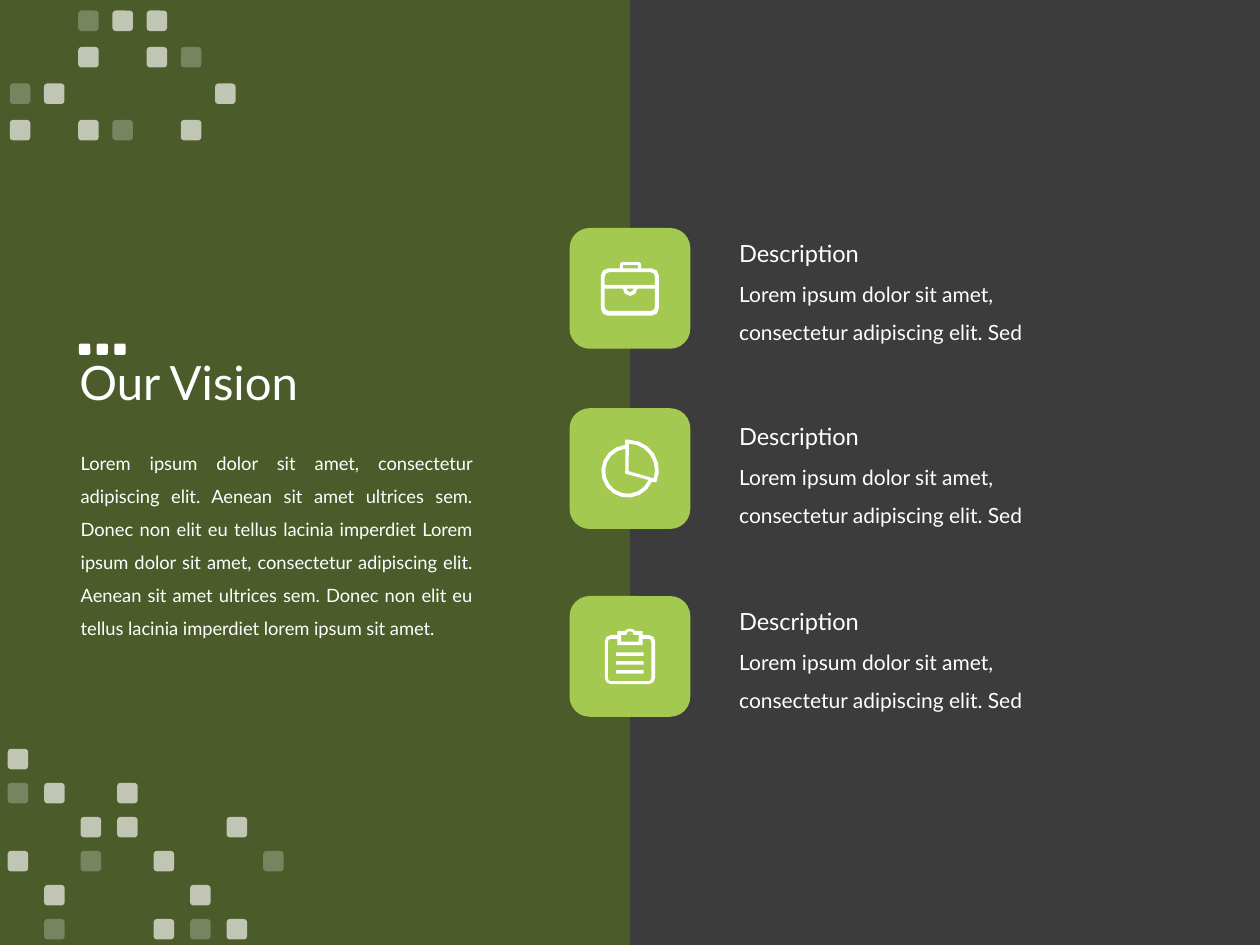
from math import cos, radians, sin

from lxml.etree import SubElement
from pptx import Presentation
from pptx.dml.color import RGBColor
from pptx.enum.shapes import MSO_SHAPE as Shape
from pptx.enum.text import MSO_ANCHOR as Anchor, MSO_AUTO_SIZE as AutoSize, PP_ALIGN as Align
from pptx.oxml.ns import qn
from pptx.util import Pt

COLORS = {"ground": "3C3C3C", "panel": "546C21", "accent": "A3C951", "white": "FFFFFF"}
FONT = "Lato"
TILE = 11.7
TILE_ALPHA = {"#": 65, "+": 25}
TOP_TILES = ["..+##..", "..#.#+.", "+#....#", "#.#+.#."]
BOTTOM_TILES = ["#.......", "+#.#....", "..##..#.", "#.+.#..+", ".#...#..", ".+..#+#."]
VISION = (
    "Lorem ipsum dolor sit amet, consectetur adipiscing elit. Aenean sit amet ultrices sem. "
    "Donec non elit eu tellus lacinia imperdiet Lorem ipsum dolor sit amet, consectetur "
    "adipiscing elit. Aenean sit amet ultrices sem. Donec non elit eu tellus lacinia "
    "imperdiet lorem ipsum sit amet."
)
DETAIL = "Lorem ipsum dolor sit amet, consectetur adipiscing elit. Sed"


def paint(shape, color, alpha=100):
    """Give a shape a flat fill, no outline and no shadow."""
    shape.shadow.inherit = False
    shape.line.fill.background()
    shape.fill.solid()
    shape.fill.fore_color.rgb = RGBColor.from_string(COLORS[color])
    if alpha < 100:
        tint = shape.fill._xPr.find(qn("a:solidFill"))[0]
        SubElement(tint, qn("a:alpha")).set("val", str(alpha * 1000))


def add_block(shapes, kind, left, top, width, height, color, alpha=100):
    """Add a painted preset shape."""
    block = shapes.add_shape(kind, Pt(left), Pt(top), Pt(width), Pt(height))
    paint(block, color, alpha)
    return block


def write(frame, text, size, spacing=1.0, align=Align.LEFT):
    """Write one white run into a text frame."""
    frame.word_wrap = True
    paragraph = frame.paragraphs[0]
    paragraph.alignment = align
    paragraph.line_spacing = spacing
    run = paragraph.add_run()
    run.text = text
    run.font.name = FONT
    run.font.size = Pt(size)
    run.font.color.rgb = RGBColor.from_string(COLORS["white"])


def add_text(slide, left, top, width, height, text, size, spacing=1.0, align=Align.LEFT):
    """Add a text box that grows with its text."""
    box = slide.shapes.add_textbox(Pt(left), Pt(top), Pt(width), Pt(height))
    write(box.text_frame, text, size, spacing, align)
    box.text_frame.auto_size = AutoSize.SHAPE_TO_FIT_TEXT


def add_title(slide, text):
    """Place and format the title placeholder."""
    title = slide.shapes.title
    title.left, title.top, title.width, title.height = Pt(38.1), Pt(159.8), Pt(620.6), Pt(120.2)
    title.text_frame.vertical_anchor = Anchor.MIDDLE
    write(title.text_frame, text, 27, 0.9)


def add_mosaic(slide, left, top, pitch_x, pitch_y, rows):
    """Add a group of translucent tiles laid out by a character grid."""
    tiles = slide.shapes.add_group_shape().shapes
    for row, marks in enumerate(rows):
        for column, mark in enumerate(marks):
            if mark in TILE_ALPHA:
                add_block(tiles, Shape.ROUNDED_RECTANGLE, left + column * pitch_x,
                          top + row * pitch_y, TILE, TILE, "white", TILE_ALPHA[mark])


def add_dots(slide):
    """Add the three small squares above the title."""
    dots = slide.shapes.add_group_shape().shapes
    for index in range(3):
        add_block(dots, Shape.ROUNDED_RECTANGLE, 45.1 + index * 10.1, 196.3, 6.5, 6.5, "white")


def arc(x, y, radius, start, end, steps=4):
    """Return points along an arc, with angles in degrees clockwise from the right."""
    if not radius:
        return [(x, y)]
    angles = [radians(start + (end - start) * step / steps) for step in range(steps + 1)]
    return [(x + radius * cos(angle), y + radius * sin(angle)) for angle in angles]


def rounded(left, top, right, bottom, top_radius=0, bottom_radius=0):
    """Return the outline of a rectangle with rounded top and bottom corners."""
    a, b = top_radius, bottom_radius
    return (arc(left + a, top + a, a, 180, 270, 2) + arc(right - a, top + a, a, 270, 360, 2)
            + arc(right - b, bottom - b, b, 0, 90, 2) + arc(left + b, bottom - b, b, 90, 180, 2))


def briefcase():
    """Return the contours of the briefcase icon."""
    pocket = rounded(2.2, 15.1, 30.9, 27.9, 0, 2.4)
    return [
        rounded(0, 3.6, 33.1, 30.6, 4, 4),
        rounded(10.8, 0, 23, 3.6, 1.4),
        rounded(12.6, 1.6, 21.2, 3.6),
        rounded(2.2, 5.8, 30.9, 13, 2.4),
        pocket[:1] + arc(16.7, 15.1, 4.2, 180, 0) + pocket[1:],
        arc(16.7, 15.1, 2, 180, 0),
    ]


def pie():
    """Return the contours of the pie chart icon."""
    return [
        [(13.7, 0)] + arc(15.5, 17.4, 17.4, -90, 24, 6) + arc(15.1, 18, 15.1, 23, 264.6, 12),
        arc(15.1, 18, 12.9, 23, 264, 12) + [(13.7, 19.4)],
        [(15.6, 18)] + arc(15.5, 17.4, 15.2, -89, 18, 6),
    ]


def clipboard():
    """Return the contours of the clipboard icon."""
    page = rounded(1.8, 5.8, 26.6, 30, 1.6, 1.6)
    bars = [rounded(6.5, top, 22.3, top + 2) for top in (13.5, 18.6, 23.7)]
    return [
        rounded(0, 3.6, 28.8, 31.7, 3.6, 3.6),
        [(7.2, 3.6), (7.2, 1.4), (10.1, 1.4)] + arc(14.4, 4.2, 4.2, 220, 320)
        + [(18.7, 1.4), (21.6, 1.4), (21.6, 3.6)],
        [(9.4, 3.6)] + arc(14.4, 3.6, 2.2, 180, 360) + [(19.4, 3.6), (19.4, 7.4), (9.4, 7.4)],
        page[:3] + [(7.2, 5.8), (7.2, 9.4), (21.6, 9.4), (21.6, 5.8)] + page[3:],
    ] + bars


def add_icon(slide, left, top, contours):
    """Draw an icon as one freeform made of closed contours."""
    placed = [[(Pt(left + x), Pt(top + y)) for x, y in contour] for contour in contours]
    builder = slide.shapes.build_freeform(*placed[0][0])
    for index, contour in enumerate(placed):
        if index:
            builder.move_to(*contour[0])
        builder.add_line_segments(contour[1:], close=True)
    paint(builder.convert_to_shape(), "white")


def add_feature(slide, badge_top, heading_top, icon_left, icon_top, contours):
    """Add a badge with its icon, heading and detail."""
    add_block(slide.shapes, Shape.ROUNDED_RECTANGLE, 325.5, badge_top, 69, 69, "accent")
    add_icon(slide, icon_left, icon_top, contours)
    add_text(slide, 415.3, heading_top + 17.2, 214.6, 48.2, DETAIL, 12, 1.5)
    add_text(slide, 415.3, heading_top, 126.7, 23.8, "Description", 13.5)


def main():
    """Build and save the slide."""
    deck = Presentation()
    deck.slide_width, deck.slide_height = Pt(720), Pt(540)
    slide = deck.slides.add_slide(deck.slide_layouts[5])
    slide.background.fill.solid()
    slide.background.fill.fore_color.rgb = RGBColor.from_string(COLORS["ground"])

    panel = add_block(slide.shapes, Shape.RECTANGLE, 0, 0, 360, 540, "panel", 65)
    slide.shapes.title.element.addprevious(panel.element)
    add_title(slide, "Our Vision")
    add_text(slide, 39, 248.4, 238.3, 119.5, VISION, 10.5, 1.5, Align.JUSTIFY)

    add_feature(slide, 130.3, 133.2, 343.4, 149.8, briefcase())
    add_feature(slide, 233.3, 237.6, 343.6, 251.3, pie())
    add_feature(slide, 340.6, 343.4, 345.6, 359.3, clipboard())

    add_dots(slide)
    add_mosaic(slide, 4.4, 427.9, 20.85, 19.45, BOTTOM_TILES)
    add_mosaic(slide, 5.6, 6, 19.55, 20.85, TOP_TILES)
    deck.save("out.pptx")


if __name__ == "__main__":
    main()
